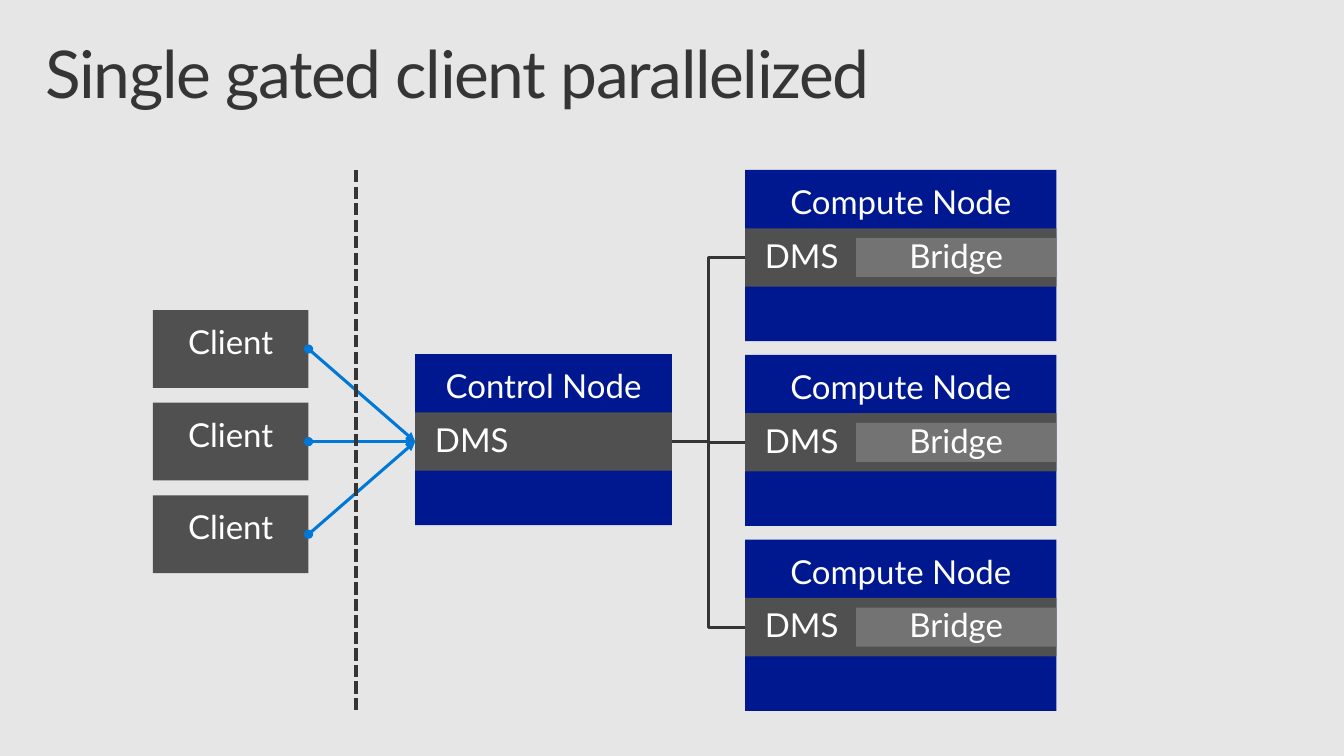
import pptx
import pptx.util
import pptx.dml.color
import pptx.enum.dml
import pptx.enum.shapes
import pptx.enum.text
import pptx.oxml.ns
import lxml.etree

Cm = pptx.util.Cm
Pt = pptx.util.Pt
color = pptx.dml.color.RGBColor.from_string
ALIGN = pptx.enum.text.PP_ALIGN
ANCHOR = pptx.enum.text.MSO_ANCHOR
CONNECTOR = pptx.enum.shapes.MSO_CONNECTOR
qn = pptx.oxml.ns.qn

INK, GRAY, LIGHT_GRAY = "353535", "505050", "737373"
NAVY, BLUE, WHITE = "00188F", "0078D7", "FFFFFF"


def add_box(shapes, label, left, top, width, height, fill,
            align=ALIGN.CENTER, anchor=ANCHOR.MIDDLE):
    box = shapes.add_shape(pptx.enum.shapes.MSO_SHAPE.RECTANGLE,
                           Cm(left), Cm(top), Cm(width), Cm(height))
    box.shadow.inherit = False
    box.fill.solid()
    box.fill.fore_color.rgb = color(fill)
    box.line.fill.background()
    frame = box.text_frame
    frame.vertical_anchor = anchor
    frame.margin_left = frame.margin_right = Cm(0.51)
    frame.margin_top = frame.margin_bottom = Cm(0.41)
    para = frame.paragraphs[0]
    para.text = label
    para.alignment = align
    para.line_spacing = 0.9
    para.font.name = "Lato"
    para.font.size = Pt(24)
    para.font.color.rgb = color(WHITE)
    return box


def add_line(kind, stroke, weight, x1=0, y1=0, x2=0, y2=0):
    line = page.shapes.add_connector(kind, Cm(x1), Cm(y1), Cm(x2), Cm(y2))
    line.line.color.rgb = color(stroke)
    line.line.width = Pt(weight)
    lxml.etree.SubElement(line._element.spPr, qn("a:effectLst"))
    return line


deck = pptx.Presentation()
deck.slide_width, deck.slide_height = Cm(34.54), Cm(19.43)
page = deck.slides.add_slide(deck.slide_layouts[6])
page.background.fill.solid()
page.background.fill.fore_color.rgb = color("E6E6E6")

# Title
title = page.shapes.add_textbox(Cm(0.76), Cm(0.81), Cm(33.02), Cm(2.54))
frame = title.text_frame
frame.word_wrap = True
frame.margin_left = frame.margin_right = Cm(0.41)
frame.margin_top = frame.margin_bottom = Cm(0.25)
para = frame.paragraphs[0]
span = para.add_run()
span.text = "Single gated client parallelized"
span.font.name = "Lato"
span.font.size = Pt(48)
span.font.color.rgb = color(INK)
span._r.get_or_add_rPr().set("spc", "-100")
para.line_spacing = 0.9

# Compute nodes, each with a service band and a bridge
compute_bands = []
for row in range(3):
    top = 4.37 + 4.75 * row
    node = page.shapes.add_group_shape().shapes
    add_box(node, "Compute Node", 19.15, top, 8, 4.4, NAVY, anchor=ANCHOR.TOP)
    compute_bands.append(
        add_box(node, "DMS", 19.15, top + 1.5, 8, 1.5, GRAY, align=ALIGN.LEFT))
    add_box(node, "Bridge", 22, top + 1.75, 5.15, 1, LIGHT_GRAY)

# Control node
add_box(page.shapes, "Control Node", 10.67, 9.1, 6.6, 4.4, NAVY, anchor=ANCHOR.TOP)
control_band = add_box(page.shapes, "DMS", 10.67, 10.6, 6.6, 1.5, GRAY, align=ALIGN.LEFT)

# Branches from the control node to the compute nodes
for band in compute_bands:
    branch = add_line(CONNECTOR.ELBOW, INK, 2.25)
    branch.begin_connect(control_band, 3)
    branch.end_connect(band, 1)

# Clients
clients = [add_box(page.shapes, "Client", 3.93, 7.97 + 2.38 * row, 4, 2, GRAY,
                   anchor=ANCHOR.TOP) for row in range(3)]

# Arrows from the clients to the control node
for client in clients:
    arrow = add_line(CONNECTOR.STRAIGHT, BLUE, 2.25)
    arrow.begin_connect(client, 3)
    arrow.end_connect(control_band, 1)
    stroke = arrow.line._get_or_add_ln()
    lxml.etree.SubElement(stroke, qn("a:headEnd"), type="oval")
    lxml.etree.SubElement(stroke, qn("a:tailEnd"), type="triangle")

# Gate
gate = add_line(CONNECTOR.STRAIGHT, INK, 3, 9.14, 4.37, 9.14, 18.36)
gate.line.dash_style = pptx.enum.dml.MSO_LINE.SQUARE_DOT

deck.save("out.pptx")
